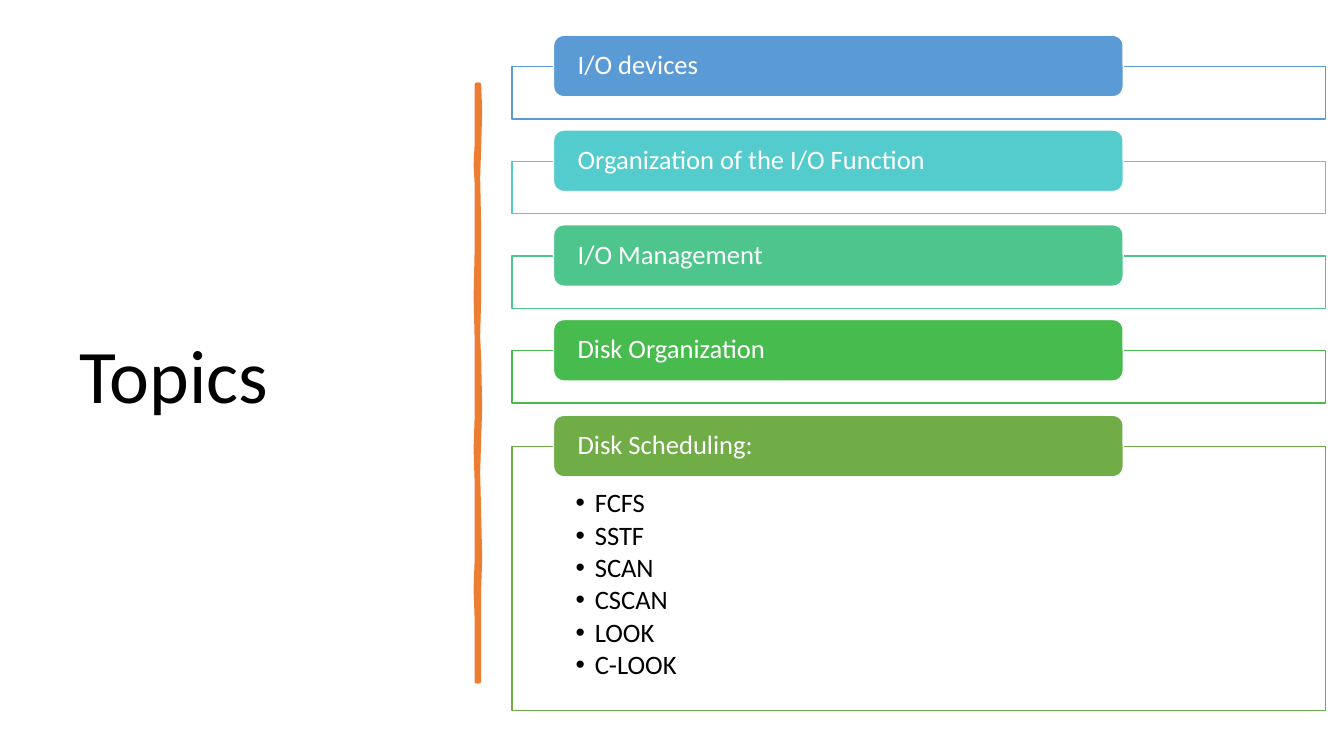
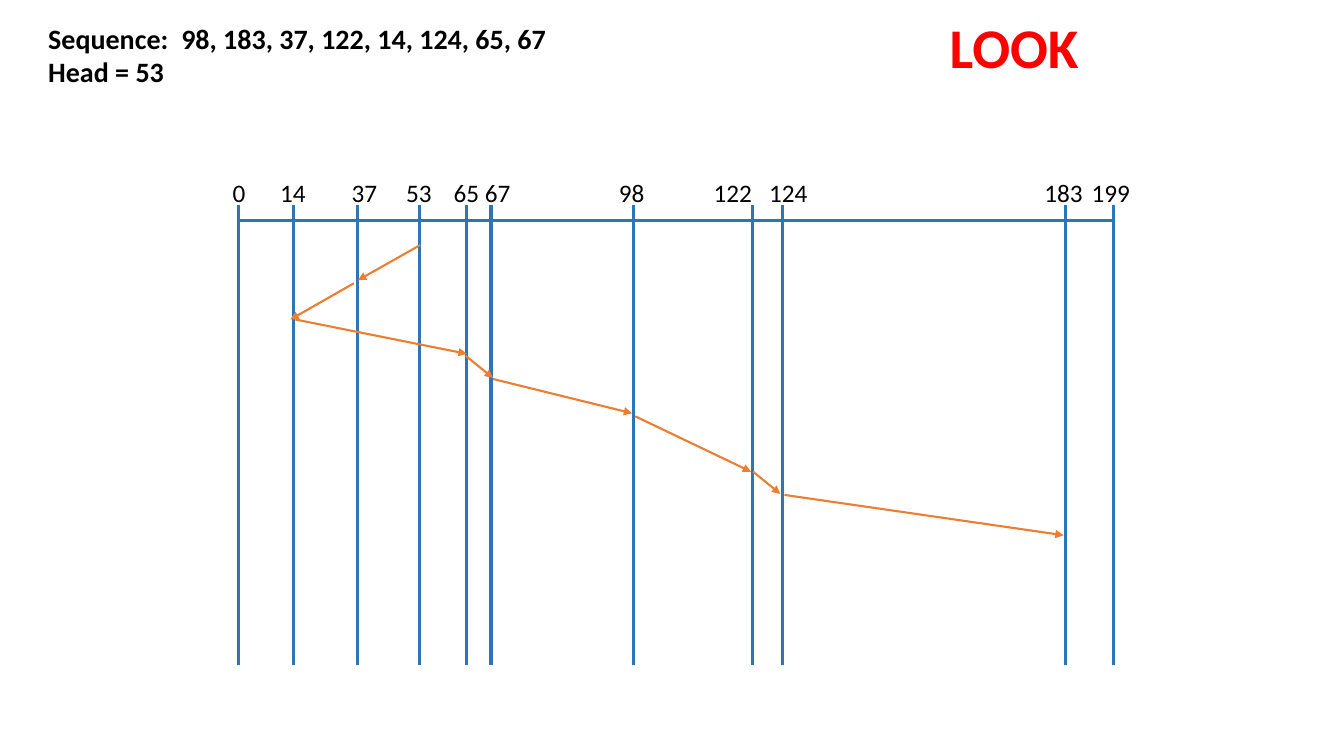
from dataclasses import dataclass
from typing import NamedTuple

from lxml.etree import SubElement as Sub
from pptx import Presentation
from pptx.dml.color import RGBColor as Rgb
from pptx.enum.shapes import MSO_CONNECTOR as Link, MSO_SHAPE as Form
from pptx.enum.text import MSO_ANCHOR as Anchor, PP_ALIGN as Align
from pptx.oxml.ns import qn
from pptx.util import Pt

SCALE = 9144


class Box(NamedTuple):
    """A region in px."""
    x: int
    y: int
    w: int
    h: int

    def inner(self, x, y, w, h):
        """Return a box placed from this one's corner."""
        return Box(self.x + x, self.y + y, w, h)

    def emu(self):
        """Return the four lengths in EMU."""
        return [px(n) for n in self]


@dataclass(frozen=True)
class Theme:
    """Colours, font and type sizes."""
    font: str = "Calibri"
    ink: str = "000000"
    white: str = "FFFFFF"
    red: str = "FF0000"
    blue: str = "2E75B6"
    orange: str = "ED7D31"
    cards: tuple = ("5B9BD5", "54CCCD", "4DC58D", "48BB4F", "70AD47")
    title: int = 54
    name: int = 40
    head: int = 20
    item: int = 19
    label: int = 18


LOOK = Theme()
TOPICS = ("I/O devices", "Organization of the I/O Function", "I/O Management",
          "Disk Organization", "Disk Scheduling:")
METHODS = ("FCFS", "SSTF", "SCAN", "CSCAN", "LOOK", "C-LOOK")
MARKS = ((0, 0, -16), (14, 54, 31), (37, 118, 102), (53, 179, 156),
         (65, 226, 203), (67, 250, 234), (98, 391, 367), (122, 509, 461),
         (124, 539, 516), (183, 820, 789), (199, 867, 836))
HOPS = ((180, 72, 118, 107), (114, 110, 51, 146), (56, 146, 226, 180),
        (225, 182, 252, 204), (252, 205, 390, 239), (393, 242, 508, 297),
        (510, 297, 537, 319), (541, 320, 818, 360))
EDGE = ((2, 0), (3, 26), (2, 62), (1, 92), (2, 142), (2, 210), (1, 250),
        (2, 272), (3, 320), (2, 352), (1, 385), (2, 426), (3, 470), (2, 500),
        (2, 592), (0, 592), (0, 529), (-1, 500), (0, 473), (0, 393),
        (-1, 362), (0, 331), (0, 251), (-1, 210), (0, 166), (0, 97),
        (-1, 80), (0, 60), (0, 0))


def px(n):
    """Turn px into EMU."""
    return n * SCALE


def rgb(hue):
    """Turn a hex string into a colour."""
    return Rgb.from_string(hue)


def write(shape, lines, size, hue=LOOK.ink, bold=False, pad=(10, 5, 10, 5),
          anchor=Anchor.TOP, space=1.0, after=0, dot=0, tab=0):
    """Fill a shape with styled paragraphs."""
    frame = shape.text_frame
    frame.word_wrap = True
    frame.vertical_anchor = anchor
    (frame.margin_left, frame.margin_top,
     frame.margin_right, frame.margin_bottom) = [px(n) for n in pad]
    frame.text = "\n".join(lines)
    for para in frame.paragraphs:
        para.alignment = Align.LEFT
        para.line_spacing = space
        para.space_after = Pt(after)
        prop = para._p.get_or_add_pPr()
        if dot:
            prop.set("marL", str(px(dot)))
            prop.set("indent", str(px(-dot)))
            Sub(prop, qn("a:buFont"), typeface="Arial")
            Sub(prop, qn("a:buChar"), char="•")
        if tab:
            tabs = Sub(prop, qn("a:tabLst"))
            Sub(tabs, qn("a:tab"), pos=str(px(tab)), algn="l")
        font = para.font
        font.name, font.size, font.bold = LOOK.font, Pt(size), bold
        font.color.rgb = rgb(hue)


def text(slide, box, lines, size, **style):
    """Add a text box."""
    write(slide.shapes.add_textbox(*box.emu()), lines, size, **style)


def paint(shape, fill, edge, width):
    """Set a shape's fill and line and drop its shadow."""
    shape.shadow.inherit = False
    shape.fill.solid()
    shape.fill.fore_color.rgb = rgb(fill)
    shape.line.color.rgb = rgb(edge)
    shape.line.width = Pt(width)


def panel(slide, form, box, fill, edge):
    """Add a painted preset shape."""
    shape = slide.shapes.add_shape(form, *box.emu())
    paint(shape, fill, edge, 1)
    return shape


def line(slide, box, ends, hue, width, arrow=False):
    """Draw a straight line between two points of a box."""
    ax, ay, bx, by = ends
    start, stop = box.inner(ax, ay, 0, 0), box.inner(bx, by, 0, 0)
    link = slide.shapes.add_connector(
        Link.STRAIGHT, px(start.x), px(start.y), px(stop.x), px(stop.y))
    link.line.color.rgb = rgb(hue)
    link.line.width = Pt(width)
    prop = link.element.spPr
    Sub(prop, qn("a:effectLst"))
    if arrow:
        Sub(prop.find(qn("a:ln")), qn("a:tailEnd"), type="triangle")


def stroke(slide, box):
    """Draw the hand-drawn upright rule."""
    dots = [(box.x + x, box.y + y) for x, y in EDGE]
    pen = slide.shapes.build_freeform(*dots[0], scale=SCALE)
    pen.add_line_segments(dots[1:], close=True)
    shape = pen.convert_to_shape()
    paint(shape, LOOK.orange, LOOK.orange, 3.25)
    Sub(shape.element.spPr.find(qn("a:ln")), qn("a:round"))


def card(slide, box, name, hue, items):
    """Draw one framed topic with its tab and items."""
    frame = panel(slide, Form.RECTANGLE, box, LOOK.white, hue)
    if items:
        write(frame, items, LOOK.item, pad=(63, 43, 63, 15), space=0.9,
              after=2.6, dot=19)
    tab = panel(slide, Form.ROUNDED_RECTANGLE, box.inner(41, -31, 565, 61),
                hue, LOOK.white)
    write(tab, [name], LOOK.item, hue=LOOK.white, pad=(21, 0, 21, 0),
          anchor=Anchor.MIDDLE, space=0.9)


def stack(slide, box):
    """Stack the topic cards; the last one holds the methods."""
    last = len(TOPICS) - 1
    for i, (name, hue) in enumerate(zip(TOPICS, LOOK.cards)):
        top = i * 377 // 4
        high = box.h - top if i == last else 52
        card(slide, box.inner(0, top, box.w, high), name, hue,
             METHODS if i == last else ())


def seek(slide, box):
    """Draw the disk axis, its tracks and the moves of the head."""
    line(slide, box, (0, 48, box.w, 48), LOOK.blue, 2.25)
    for mark, x, left in MARKS:
        for top, foot in ((32, 56), (56, box.h)):
            line(slide, box, (x, top, x, foot), LOOK.blue, 2.25)
        wide = 15 + 16 * len(str(mark))
        text(slide, box.inner(left, 0, wide, 40), [str(mark)], LOOK.label)
    for hop in HOPS:
        line(slide, box, hop, LOOK.orange, 1.5, arrow=True)


def agenda(slide, box):
    """Build the topics slide."""
    text(slide, box.inner(69, 70, 374, 611), ["Topics"], LOOK.title,
         anchor=Anchor.MIDDLE, space=0.9)
    stroke(slide, box.inner(473, 84, 2, 592))
    stack(slide, box.inner(508, 66, 807, 639))


def trace(slide, box):
    """Build the head movement slide."""
    text(slide, box.inner(38, 16, 734, 77),
         ["Sequence:\t98, 183, 37, 122, 14, 124, 65, 67", "Head = 53"],
         LOOK.head, bold=True, tab=132)
    text(slide, box.inner(932, 8, 187, 77), ["LOOK"], LOOK.name,
         hue=LOOK.red, bold=True)
    seek(slide, box.inner(237, 171, 867, 489))


def main():
    """Build and save the deck."""
    deck = Presentation()
    page = Box(0, 0, 1333, 750)
    deck.slide_width, deck.slide_height = px(page.w), px(page.h)
    for build in (agenda, trace):
        build(deck.slides.add_slide(deck.slide_layouts[6]), page)
    deck.save("out.pptx")


if __name__ == "__main__":
    main()
